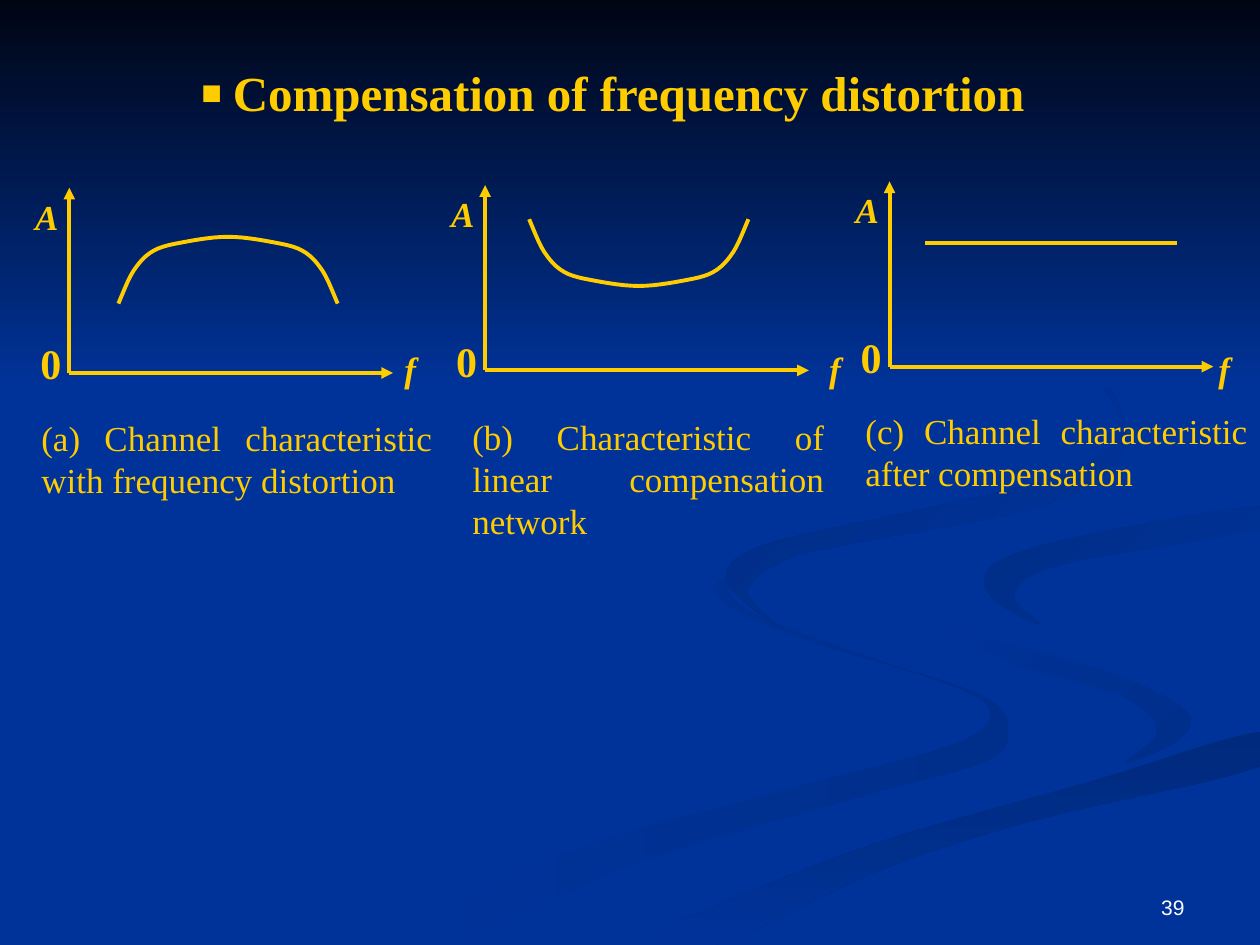
from lxml import etree
from pptx import Presentation
from pptx.dml.color import RGBColor
from pptx.enum.shapes import MSO_CONNECTOR, MSO_SHAPE
from pptx.enum.text import MSO_ANCHOR, PP_ALIGN
from pptx.oxml.ns import qn
from pptx.util import Inches, Pt

STRAIGHT, RECT = MSO_CONNECTOR.STRAIGHT, MSO_SHAPE.RECTANGLE
TOP, BOTTOM = MSO_ANCHOR.TOP, MSO_ANCHOR.BOTTOM
JUST, LEFT, RIGHT = PP_ALIGN.JUSTIFY, PP_ALIGN.LEFT, PP_ALIGN.RIGHT

HEX = {"back": "003399", "night": "000514", "gold": "FFCC00", "white": "FFFFFF",
       "dusk": "002E8B", "deep": "002A7D", "shade": "002D86", "dark": "002B82"}
RGB = {name: RGBColor.from_string(code) for name, code in HEX.items()}
SERIF, SANS = "Times New Roman", "Arial"

# The grid has 1000 columns and 750 rows
COLS, ROWS = 1000, 750
CELL = Inches(10) // COLS
STEPS = 6

deck = Presentation()
deck.slide_width, deck.slide_height = COLS * CELL, ROWS * CELL
slide = deck.slides.add_slide(deck.slide_layouts[6])
shapes = slide.shapes
slide.background.fill.solid()
slide.background.fill.fore_color.rgb = RGB["back"]


def write(text, box, size=20, font=SERIF, color="gold", bold=False, italic=False,
          align=JUST, anchor=TOP, inset=(0, 0), bullet=None):
    frame = shapes.add_textbox(*(n * CELL for n in box)).text_frame
    frame.word_wrap, frame.vertical_anchor = True, anchor
    frame.margin_left = frame.margin_right = inset[0] * CELL
    frame.margin_top = frame.margin_bottom = inset[1] * CELL
    par = frame.paragraphs[0]
    par.alignment = align
    if bullet:
        props = par._p.get_or_add_pPr()
        props.set("marL", str(175 * CELL))
        props.set("indent", str(-25 * CELL))
        tint = etree.SubElement(props, qn("a:buClr"))
        etree.SubElement(tint, qn("a:srgbClr")).set("val", HEX[color])
        etree.SubElement(props, qn("a:buSzPct")).set("val", "70000")
        etree.SubElement(props, qn("a:buFont")).set("typeface", SANS)
        etree.SubElement(props, qn("a:buChar")).set("char", bullet)
    run = par.add_run()
    run.text = text
    run.font.size, run.font.name = Pt(size), font
    run.font.bold, run.font.italic = bold, italic
    run.font.color.rgb = RGB[color]


def trace(knots, close):
    """Draw a smooth (Catmull-Rom) curve through the knots."""
    ring = ([knots[-1], *knots, *knots[:2]] if close
            else [knots[0], *knots, knots[-1]])
    dots = []
    for a, b, c, d in zip(ring, ring[1:], ring[2:], ring[3:]):
        for t in (i / STEPS for i in range(STEPS)):
            dots.append([CELL * (q + t / 2 * (r - p + t * (2 * p - 5 * q + 4 * r - s
                         + t * (3 * q - p - 3 * r + s))))
                         for p, q, r, s in zip(a, b, c, d)])
    dots.append([CELL * n for n in ring[-2]])
    pen = shapes.build_freeform(*(round(n) for n in dots[0]))
    pen.add_line_segments(dots[1:], close=close)
    return pen.convert_to_shape()


# Backdrop ribbons: start colour, clockwise angle, knots of the outline
ribbons = [
    ("back", "dusk", 0, [(575, 459), (572, 476), (631, 505), (741, 539), (785, 562),
                         (759, 590), (616, 629), (458, 674), (300, 749), (361, 749),
                         (499, 687), (676, 634), (780, 605), (800, 581), (781, 553),
                         (682, 519), (594, 485)]),
    ("back", "dusk", 45, [(724, 464), (733, 488), (797, 524), (892, 553), (918, 581),
                          (894, 605), (937, 586), (939, 562), (870, 530), (758, 498)]),
    ("deep", "back", 90, [(503, 749), (571, 749), (695, 692), (821, 651), (998, 609),
                          (998, 581), (867, 620), (696, 669), (569, 719)]),
    ("shade", "back", 45, [(781, 460), (791, 478), (826, 496), (805, 472), (843, 448),
                           (998, 420), (998, 402), (865, 424), (799, 442)]),
    ("dark", "back", 45, [(683, 430), (825, 402), (889, 362), (880, 307), (821, 261),
                          (762, 233), (846, 279), (889, 335), (852, 374), (733, 404),
                          (605, 433), (577, 462), (622, 500), (593, 470), (624, 444)]),
]
panes = [(trace(knots, True), start, end, angle) for start, end, angle, knots in ribbons]
sky = shapes.add_shape(RECT, 0, 0, COLS * CELL, 308 * CELL)
panes.append((sky, "night", "back", 90))
for pane, start, end, angle in panes:
    pane.shadow.inherit = False
    pane.line.fill.background()
    pane.fill.gradient()
    pane.fill.gradient_angle = -angle % 360
    for stop, tone in zip(pane.fill.gradient_stops, (start, end)):
        stop.color.rgb = RGB[tone]

# Page number and title
write("39", (717, 683, 233, 52), size=12, font=SANS, color="white",
      align=RIGHT, anchor=BOTTOM, inset=(10, 5))
write("Compensation of frequency distortion", (0, 45, COLS, 625), size=28,
      bold=True, align=LEFT, inset=(10, 5), bullet="■")

# Graphs: origin, left of f, caption box, caption
graphs = [
    (55, 296, 321, (23, 326, 330, 93),
     "(a) Channel characteristic with frequency distortion"),
    (385, 294, 658, (365, 325, 299, 109),
     "(b) Characteristic of linear compensation network"),
    (706, 291, 967, (677, 320, 323, 85),
     "(c) Channel characteristic after compensation"),
]
lines = []
for x, y, right, box, text in graphs:
    lines += [(x, y, x, y - 147, True), (x, y, x + 257, y, True)]
    write("0", (x - 23, y - 28, 24, 70), size=24, bold=True)
    write("A", (x - 27, y - 141, 24, 70), bold=True, italic=True)
    write("f", (right, 276, 24, 70), bold=True, italic=True)
    write(text, box, inset=(10, 5))

# Axes and the flat response
lines.append((734, 193, 934, 193, False))
for *ends, arrow in lines:
    line = shapes.add_connector(STRAIGHT, *(n * CELL for n in ends))
    line.line.color.rgb, line.line.width = RGB["gold"], Pt(2.25)
    if arrow:
        tip = etree.SubElement(line.line._get_or_add_ln(), qn("a:tailEnd"))
        tip.set("type", "triangle")
    etree.SubElement(line._element.spPr, qn("a:effectLst"))

# Curved responses: the right half mirrors the left
half = [(0, 0), (12, 26), (28, 42), (53, 49), (87, 53)]
whole = half + [(174 - x, y) for x, y in half[-2::-1]]
for left, edge, sign in ((94, 241, -1), (420, 174, 1)):
    curve = trace([(left + x, edge + sign * y) for x, y in whole], False)
    curve.shadow.inherit = False
    curve.fill.background()
    curve.line.color.rgb, curve.line.width = RGB["gold"], Pt(2.25)

deck.save("out.pptx")
